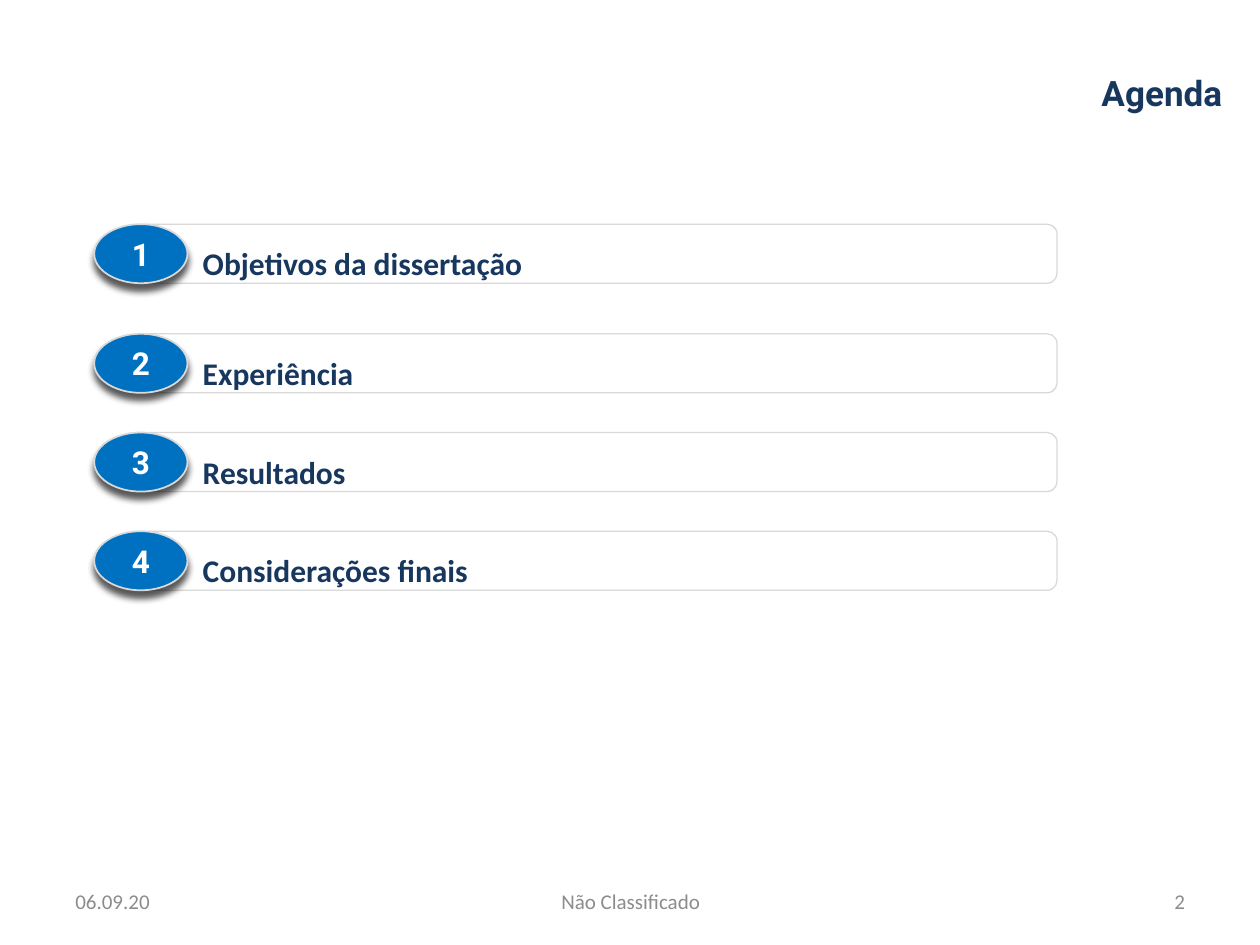
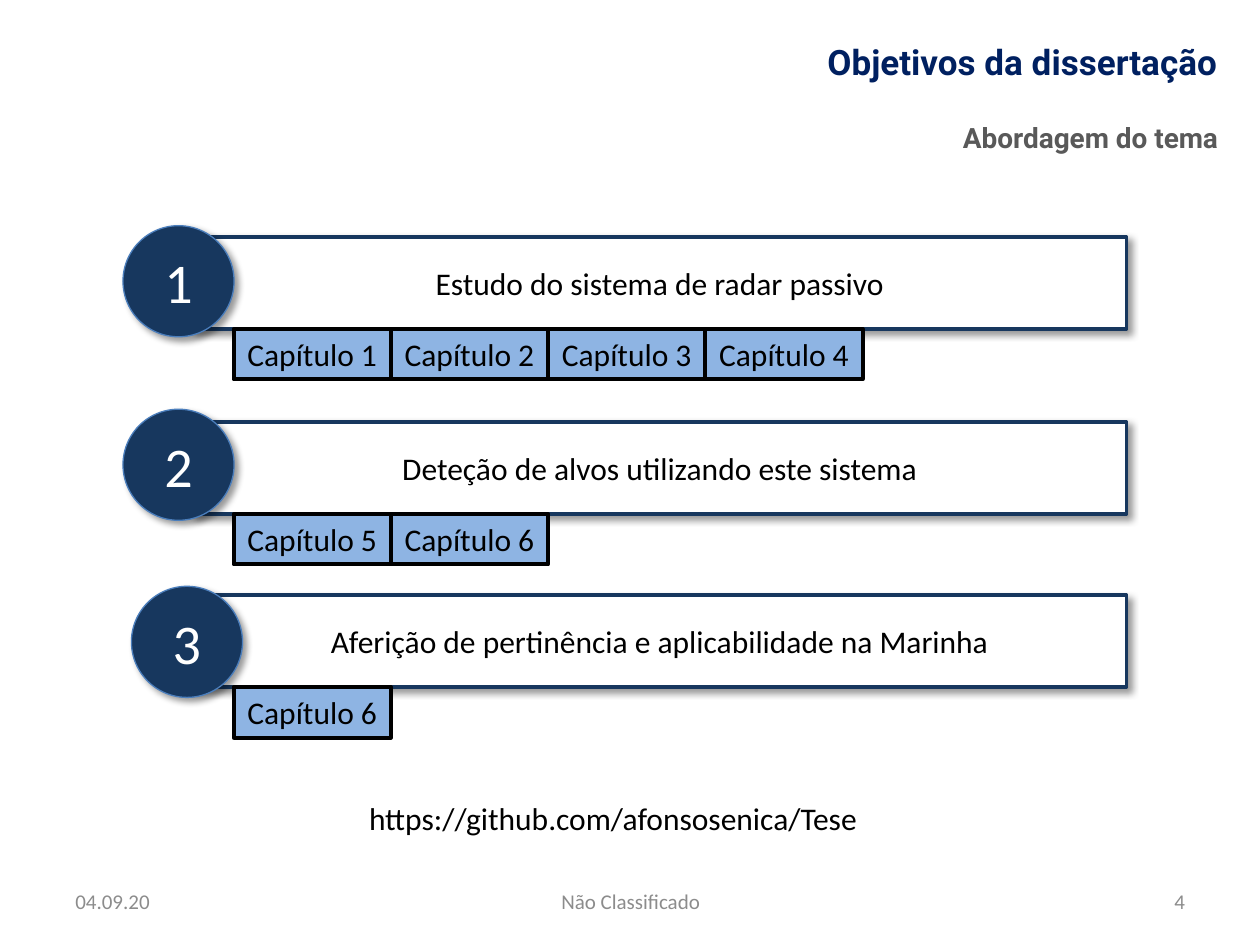
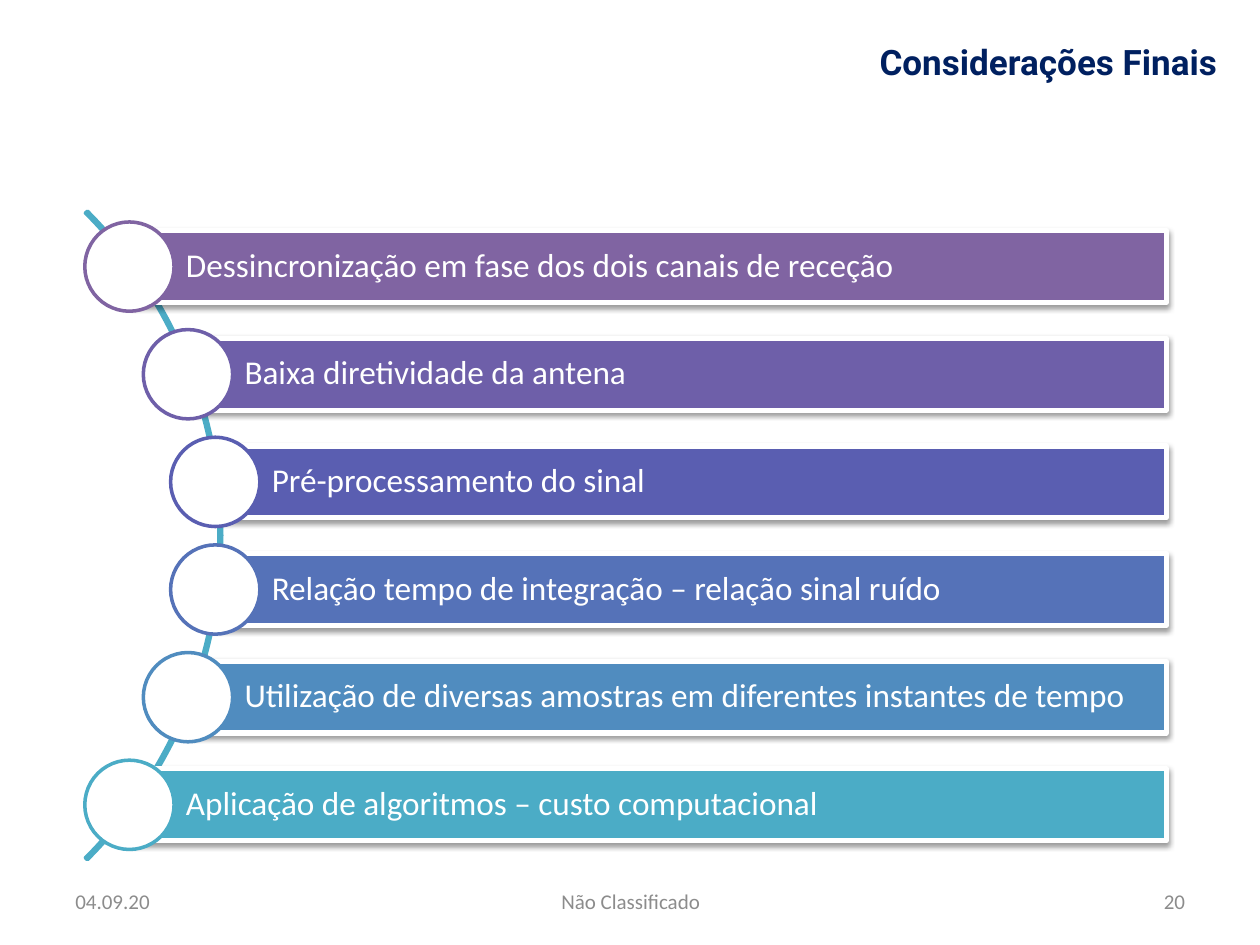
from dataclasses import dataclass

from lxml import etree
from pptx import Presentation
from pptx.dml.color import RGBColor
from pptx.enum import shapes, text
from pptx.oxml.ns import qn
from pptx.util import Cm, Pt

SHAPE = shapes.MSO_SHAPE
ALIGN = text.PP_ALIGN
ANCHOR = text.MSO_ANCHOR


@dataclass(frozen=True)
class Theme:
    body: str = "Calibri"
    head: str = "Roboto"
    white: str = "FFFFFF"
    black: str = "000000"
    navy: str = "17375E"
    title: str = "002060"
    subtitle: str = "595959"
    footer: str = "8C8C8C"
    badge: str = "0070C0"
    hairline: str = "D9D9D9"
    disc_line: str = "4B7EBC"
    chapter: str = "8EB4E3"
    arc: str = "4BACC6"
    title_pt: int = 20
    subtitle_pt: int = 16
    text_pt: int = 18
    list_pt: int = 19
    disc_pt: int = 32
    footer_pt: int = 12


@dataclass(frozen=True)
class Shadow:
    alpha: int
    blur: float
    dist: float
    angle: int


T = Theme()
BADGE_SHADOW = Shadow(66, 4, 4, 90)
PANEL_SHADOW = Shadow(40, 4, 3, 45)
BAND_SHADOW = Shadow(38, 3.1, 1.6, 90)


def rgb(value):
    return RGBColor.from_string(value)


# Shared elements
def write(sp, content, size, color, font=T.body, bold=False, align=ALIGN.LEFT,
          anchor=ANCHOR.MIDDLE, left_inset=0.25, right_inset=0.25, spacing=None):
    tf = sp.text_frame
    tf.word_wrap = True
    tf.auto_size = text.MSO_AUTO_SIZE.NONE
    tf.vertical_anchor = anchor
    tf.margin_left, tf.margin_right = Cm(left_inset), Cm(right_inset)
    tf.margin_top = tf.margin_bottom = Cm(0.13)
    p = tf.paragraphs[0]
    p.text = content
    p.alignment = align
    if spacing:
        p.line_spacing = spacing
    f = p.font
    f.name, f.size, f.bold = font, Pt(size), bold
    f.color.rgb = rgb(color)


def add_text(s, box, content, size, color, **style):
    sp = s.shapes.add_textbox(*map(Cm, box))
    write(sp, content, size, color, **style)


def add_shadow(sp, shadow):
    effects = sp._element.spPr.find(qn("a:effectLst"))
    outer = etree.SubElement(
        effects, qn("a:outerShdw"), blurRad=str(Pt(shadow.blur)),
        dist=str(Pt(shadow.dist)), dir=str(shadow.angle * 60000),
        algn="ctr", rotWithShape="0")
    color = etree.SubElement(outer, qn("a:srgbClr"), val=T.black)
    etree.SubElement(color, qn("a:alpha"), val=str(shadow.alpha * 1000))


def add_figure(s, kind, box, fill, line, width, shadow=None):
    sp = s.shapes.add_shape(kind, *map(Cm, box))
    sp.shadow.inherit = False
    if fill:
        sp.fill.solid()
        sp.fill.fore_color.rgb = rgb(fill)
    else:
        sp.fill.background()
    sp.line.color.rgb = rgb(line)
    sp.line.width = Pt(width)
    if shadow:
        add_shadow(sp, shadow)
    return sp


def add_slide(prs, title, date, number, box=(3.1, 0.53, 21.69, 1.4),
              color=T.title, anchor=ANCHOR.MIDDLE):
    s = prs.slides.add_slide(prs.slide_layouts[5])
    sp = s.shapes.title
    sp.left, sp.top, sp.width, sp.height = map(Cm, box)
    write(sp, title, T.title_pt, color, font=T.head, bold=True,
          align=ALIGN.RIGHT, anchor=anchor)
    footer = ((1.27, 5.93, date, ALIGN.LEFT),
              (8.69, 8.05, "Não Classificado", ALIGN.CENTER),
              (18.21, 5.93, number, ALIGN.RIGHT))
    for left, width, content, align in footer:
        add_text(s, (left, 17.65, width, 1.02), content, T.footer_pt, T.footer,
                 align=align)
    return s


# Slide elements
def add_agenda_item(s, top, number, topic):
    bar = add_figure(s, SHAPE.ROUNDED_RECTANGLE, (2.84, top, 18.47, 1.19),
                     T.white, T.hairline, 0.75)
    write(bar, topic, T.text_pt, T.navy, bold=True, left_inset=1.19, spacing=1.5)
    badge = add_figure(s, SHAPE.OVAL, (1.9, top, 1.88, 1.19),
                       T.badge, T.hairline, 1, BADGE_SHADOW)
    write(badge, str(number), T.text_pt, T.white, font=T.head, bold=True,
          align=ALIGN.CENTER)


def add_objective(s, top, disc_left, disc_top, number, goal, chapters):
    height, chapter_width = 1.85, 3.17
    panel = add_figure(s, SHAPE.RECTANGLE, (3.89, top, 18.82, height),
                       T.white, T.navy, 2, PANEL_SHADOW)
    write(panel, goal, T.text_pt, T.black, align=ALIGN.CENTER)
    disc = add_figure(s, SHAPE.OVAL, (disc_left, disc_top, 2.24, 2.24),
                      T.navy, T.disc_line, 0.75, PANEL_SHADOW)
    write(disc, str(number), T.disc_pt, T.white, align=ALIGN.CENTER)
    for i, chapter in enumerate(chapters):
        box = (4.71 + i * chapter_width, top + height, chapter_width, 1.02)
        tag = add_figure(s, SHAPE.RECTANGLE, box, T.chapter, T.black, 2.25)
        write(tag, f"Capítulo {chapter}", T.text_pt, T.black,
              align=ALIGN.CENTER, anchor=ANCHOR.TOP)


def add_conclusion(s, left, top, color, content):
    right, height, disc = 23.51, 1.45, 1.8
    band = add_figure(s, SHAPE.RECTANGLE, (left, top, right - left, height),
                      color, T.white, 3, BAND_SHADOW)
    write(band, content, T.list_pt, T.white, left_inset=1.14, right_inset=0.13,
          spacing=0.9)
    disc_box = (left - disc / 2, top + (height - disc) / 2, disc, disc)
    add_figure(s, SHAPE.OVAL, disc_box, T.white, color, 2)


# Slides
def build_agenda(prs):
    s = add_slide(prs, "Agenda", "06.09.20", "2", box=(3.1, 1.32, 21.79, 1.9),
                  color=T.navy, anchor=ANCHOR.TOP)
    topics = ((4.52, "Objetivos da dissertação"), (6.73, "Experiência"),
              (8.72, "Resultados"), (10.71, "Considerações finais"))
    for number, (top, topic) in enumerate(topics, 1):
        add_agenda_item(s, top, number, topic)


def build_objectives(prs):
    s = add_slide(prs, "Objetivos da dissertação", "04.09.20", "4")
    add_text(s, (3.5, 2.31, 21.31, 0.99), "Abordagem do tema", T.subtitle_pt,
             T.subtitle, font=T.head, bold=True, align=ALIGN.RIGHT,
             anchor=ANCHOR.TOP)
    objectives = (
        (4.78, 2.48, 4.55, "Estudo do sistema de radar passivo", (1, 2, 3, 4)),
        (8.51, 2.48, 8.25, "Deteção de alvos utilizando este sistema", (5, 6)),
        (12, 2.65, 11.82, "Aferição de pertinência e aplicabilidade na Marinha",
         (6,)),
    )
    for number, (top, disc_left, disc_top, goal, chapters) in enumerate(objectives, 1):
        add_objective(s, top, disc_left, disc_top, number, goal, chapters)
    add_text(s, (7.19, 15.98, 12.7, 1.02), "https://github.com/afonsosenica/Tese",
             T.text_pt, T.black, anchor=ANCHOR.TOP)


def build_conclusions(prs):
    s = add_slide(prs, "Considerações Finais", "04.09.20", "20")
    arc = add_figure(s, SHAPE.BLOCK_ARC, (-14.02, 1.55, 18.49, 18.49),
                     None, T.arc, 2)
    for i, value in enumerate((189, 27, 0.003)):
        arc.adjustments[i] = value
    conclusions = (
        (2.61, "8064A2", "Dessincronização em fase dos dois canais de receção"),
        (3.79, "6E5FA9", "Baixa diretividade da antena"),
        (4.34, "5A5EB1", "Pré-processamento do sinal"),
        (4.34, "5572B8", "Relação tempo de integração – relação sinal ruído"),
        (3.79, "508CBF",
         "Utilização de diversas amostras em diferentes instantes de tempo"),
        (2.61, T.arc, "Aplicação de algoritmos – custo computacional"),
    )
    for i, (left, color, content) in enumerate(conclusions):
        add_conclusion(s, left, 4.65 + i * 2.17, color, content)


def main():
    prs = Presentation()
    prs.slide_width, prs.slide_height = Cm(25.4), Cm(19.05)
    build_agenda(prs)
    build_objectives(prs)
    build_conclusions(prs)
    prs.save("out.pptx")


if __name__ == "__main__":
    main()
